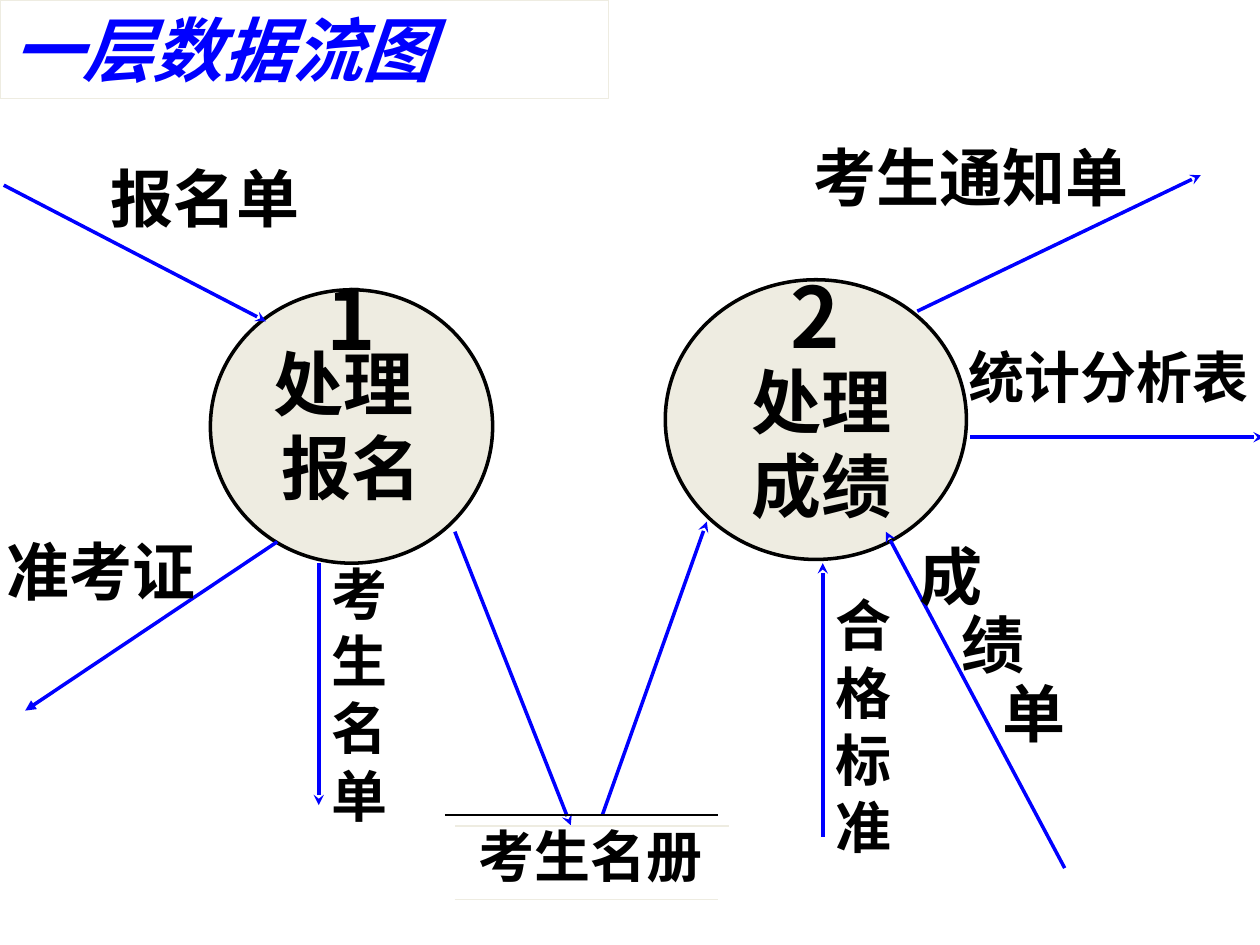
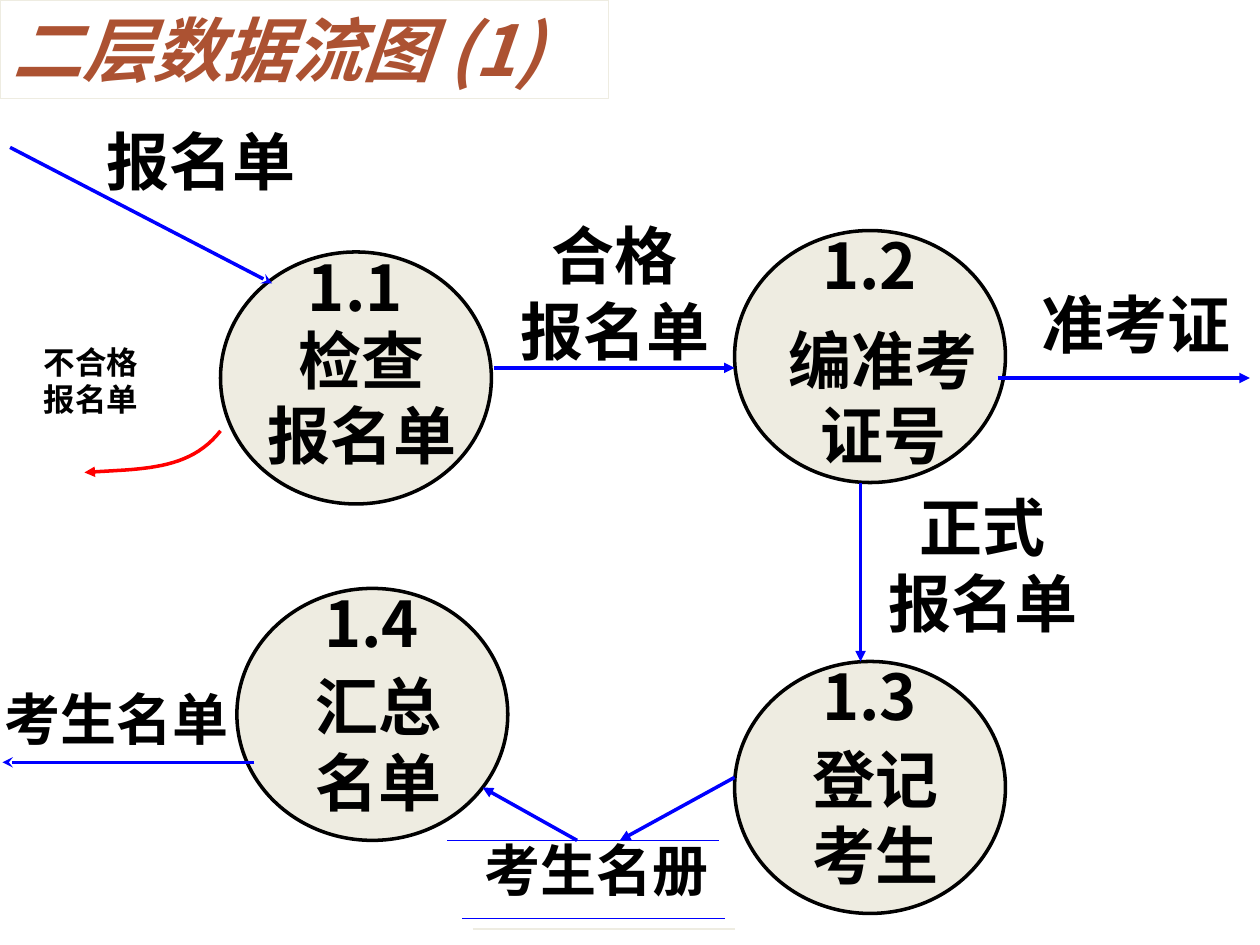
"""Build two slides of data flow diagrams for an exam registration system."""
import dataclasses
import math
import typing

import lxml.etree
import pptx
import pptx.dml.color
import pptx.enum.shapes
import pptx.enum.text
import pptx.oxml.ns
import pptx.util

EMU_PER_PX = 9144
PX_PER_POINT = 100 / 72
FONT_NAME = "Noto Sans CJK SC"
COLORS = {
    "ink": "000000",
    "flow": "0000FF",
    "reject": "FF0000",
    "cream": "EEECE1",
    "rust": "AC5232",
}
LABEL_FORMAT = {"name": FONT_NAME, "bold": True}
TITLE_FORMAT = {**LABEL_FORMAT, "italic": True}
SMALL, MEDIUM, NORMAL, LARGE, HUGE = 18, 32, 36, 40, 48
LINE_HEIGHT = 1.5
CURVE_STEPS = 24

Point = tuple[int, int]


@dataclasses.dataclass(frozen=True)
class Label:
    """A text box placed by its left edge, or by its middle if centered."""
    x: int
    top: int
    text: str
    size: int = NORMAL
    centered: bool = False


@dataclasses.dataclass(frozen=True)
class Process:
    """A process circle with its number near the top and its name below."""
    left: int
    top: int
    number: str
    name: str
    name_drop: int
    name_shift: int = 5
    width: int = 215
    height: int = 200
    number_rise: int = 8
    number_size: int = NORMAL
    name_size: int = NORMAL


@dataclasses.dataclass(frozen=True)
class Line:
    """A straight line given by its start and its run across and down."""
    x: int
    y: int
    across: int = 0
    down: int = 0
    head: str = "stealth"
    color: str = "flow"
    width: int = 2
    shadow: bool = False


@dataclasses.dataclass(frozen=True)
class Curve:
    """A cubic Bezier arc."""
    points: tuple[Point, ...]
    color: str = "reject"


@dataclasses.dataclass(frozen=True)
class Diagram:
    """All the content of one slide."""
    title: str
    title_color: str
    processes: tuple[Process, ...]
    lines: tuple[Line, ...]
    labels: tuple[Label, ...]
    curves: tuple[Curve, ...] = ()


def application_flow(x: int, y: int) -> Line:
    """Make the flow that brings the application form in."""
    return Line(x, y, 208, 108)


def diagonal_labels(x: int, top: int, text: str) -> tuple[Label, ...]:
    """Make one label per character, stepping down to the right."""
    return tuple(Label(x + 33 * index, top + 54 * index, character)
                 for index, character in enumerate(text))


DIAGRAMS = (
    Diagram(
        "一层数据流图", "flow",
        processes=(
            Process(167, 230, "1", "处理 \n报名", 35, 0, 224, 217, 23, HUGE, LARGE),
            Process(528, 222, "2", "处理\n成绩", 58, 5, 239, 222, 17, HUGE, LARGE),
        ),
        lines=(
            application_flow(3, 147),
            Line(220, 430, -200, 134, "triangle"),
            Line(253, 447, down=192),
            Line(361, 422, 92, 233),
            Line(478, 647, 83, -233),
            Line(728, 247, 225, -108),
            Line(653, 664, down=-217),
            Line(770, 347, 233),
            Line(845, 689, -142, -267),
            Line(353, 647, 217, head="", color="ink", width=1, shadow=True),
            Line(361, 714, 209, head="", color="cream", width=1),
        ),
        labels=(
            Label(78, 122, "报名单"),
            Label(-5, 418, "准考证"),
            Label(636, 105, "考生通知单"),
            *diagonal_labels(720, 422, "成绩单"),
            Label(370, 647, "考生名册", MEDIUM),
            Label(653, 464, "合\n格\n标\n准", MEDIUM),
            Label(253, 439, "考\n生\n名\n单", MEDIUM),
            Label(759, 267, "统计分析表", MEDIUM),
        ),
    ),
    Diagram(
        "二层数据流图 (1)", "rust",
        processes=(
            Process(175, 200, "1.1", "检查\n报名单", 50),
            Process(583, 183, "1.2", "编准考\n证号", 67, 11),
            Process(583, 525, "1.3", "登记\n考生", 58),
            Process(188, 467, "1.4", "汇总\n名单", 58),
        ),
        lines=(
            application_flow(8, 117),
            Line(392, 292, 191, head="triangle"),
            Line(202, 605, -200),
            Line(683, 383, down=142, head="triangle"),
            Line(792, 300, 200, head="triangle"),
            Line(583, 617, -91, 50, "triangle"),
            Line(458, 667, -75, -42, "triangle"),
            Line(355, 667, 216, head="", width=1),
            Line(367, 729, 208, head="", width=1, shadow=True),
        ),
        labels=(
            Label(75, 92, "报名单"),
            Label(817, 222, "准考证"),
            Label(25, 267, "不合格\n报名单", SMALL),
            Label(375, 658, "考生名册", MEDIUM),
            Label(-6, 538, "考生名单", MEDIUM),
            Label(488, 167, "合格\n报名单", centered=True),
            Label(780, 383, "正式\n报名单", centered=True),
        ),
        curves=(Curve(((175, 342), (150, 374), (112, 372), (67, 375))),),
    ),
)


def scaled(*lengths: float) -> tuple[int, ...]:
    """Turn px into EMU."""
    return tuple(round(length * EMU_PER_PX) for length in lengths)


def rgb(color: str) -> pptx.dml.color.RGBColor:
    """Look up a named colour."""
    return pptx.dml.color.RGBColor.from_string(COLORS[color])


def add_element(parent: typing.Any, tag: str, **attributes: str) -> typing.Any:
    """Append a DrawingML element to its parent."""
    return lxml.etree.SubElement(parent, pptx.oxml.ns.qn(f"a:{tag}"), attributes)


def format_line(shape: typing.Any, color: str, width: float, head: str = "") -> None:
    """Set the line colour, width and end arrowhead."""
    shape.line.color.rgb = rgb(color)
    shape.line.width = pptx.util.Pt(width)
    if head:
        outline = shape._element.spPr.find(pptx.oxml.ns.qn("a:ln"))
        add_element(outline, "tailEnd", type=head)


def write_run(paragraph: typing.Any, text: str, size: int, color: str,
              values: dict[str, typing.Any]) -> None:
    """Add a run with font values for Latin and East Asian text."""
    run = paragraph.add_run()
    run.text = text
    for attribute, value in values.items():
        setattr(run.font, attribute, value)
    run.font.size = pptx.util.Pt(size)
    run.font.color.rgb = rgb(color)
    add_element(run._r.get_or_add_rPr(), "ea", typeface=FONT_NAME)


def add_title(slide: typing.Any, diagram: Diagram) -> None:
    """Place the framed title in the title placeholder."""
    title = slide.shapes.title
    title.left, title.top, title.width, title.height = scaled(0, 0, 483, 78)
    format_line(title, "cream", 0.75)
    frame = title.text_frame
    frame.auto_size = pptx.enum.text.MSO_AUTO_SIZE.NONE
    frame.vertical_anchor = pptx.enum.text.MSO_ANCHOR.TOP
    paragraph = frame.paragraphs[0]
    paragraph.alignment = pptx.enum.text.PP_ALIGN.LEFT
    write_run(paragraph, diagram.title, LARGE, diagram.title_color, TITLE_FORMAT)


def add_label(slide: typing.Any, label: Label) -> None:
    """Draw a text box sized to its characters."""
    lines = label.text.split("\n")
    character = label.size * PX_PER_POINT
    width = max(map(len, lines)) * character + 25
    height = len(lines) * character * LINE_HEIGHT
    left = label.x - width / 2 if label.centered else label.x
    frame = slide.shapes.add_textbox(*scaled(left, label.top, width, height)).text_frame
    frame.word_wrap = True
    frame.auto_size = pptx.enum.text.MSO_AUTO_SIZE.SHAPE_TO_FIT_TEXT
    alignment = pptx.enum.text.PP_ALIGN
    for index, text in enumerate(lines):
        paragraph = frame.add_paragraph() if index else frame.paragraphs[0]
        paragraph.alignment = alignment.CENTER if label.centered else alignment.LEFT
        write_run(paragraph, text, label.size, "ink", LABEL_FORMAT)


def add_process(slide: typing.Any, process: Process) -> None:
    """Draw a process circle with its two labels."""
    circle = slide.shapes.add_shape(
        pptx.enum.shapes.MSO_SHAPE.OVAL,
        *scaled(process.left, process.top, process.width, process.height))
    circle.shadow.inherit = False
    circle.fill.solid()
    circle.fill.fore_color.rgb = rgb("cream")
    format_line(circle, "ink", 2)
    middle = process.left + process.width // 2
    add_label(slide, Label(middle + process.name_shift, process.top + process.name_drop,
                           process.name, process.name_size, centered=True))
    add_label(slide, Label(middle, process.top - process.number_rise,
                           process.number, process.number_size, centered=True))


def add_line(slide: typing.Any, line: Line) -> None:
    """Draw a straight line with an optional arrowhead and hard shadow."""
    connector = slide.shapes.add_connector(
        pptx.enum.shapes.MSO_CONNECTOR.STRAIGHT,
        *scaled(line.x, line.y, line.x + line.across, line.y + line.down))
    format_line(connector, line.color, line.width, line.head)
    effects = add_element(connector._element.spPr, "effectLst")
    if line.shadow:
        distance = str(int(pptx.util.Pt(8.5)))
        shadow = add_element(effects, "outerShdw", dist=distance, dir="2700000",
                             algn="ctr", rotWithShape="0")
        add_element(shadow, "srgbClr", val=COLORS["cream"])


def bezier_point(points: tuple[Point, ...], t: float) -> tuple[int, ...]:
    """Return the point of a Bezier arc at t, in EMU."""
    degree = len(points) - 1
    weights = [math.comb(degree, k) * t ** k * (1 - t) ** (degree - k)
               for k in range(degree + 1)]
    return scaled(*(math.sumprod(weights, axis) if hasattr(math, "sumprod")
                    else sum(w * v for w, v in zip(weights, axis))
                    for axis in zip(*points)))


def add_curve(slide: typing.Any, curve: Curve) -> None:
    """Draw an open curve that ends in an arrowhead."""
    start, *rest = [bezier_point(curve.points, step / CURVE_STEPS)
                    for step in range(CURVE_STEPS + 1)]
    builder = slide.shapes.build_freeform(*start)
    builder.add_line_segments(rest, close=False)
    shape = builder.convert_to_shape()
    shape.shadow.inherit = False
    shape.fill.background()
    format_line(shape, curve.color, 2, "triangle")


def main() -> None:
    """Build and save the presentation."""
    presentation = pptx.Presentation()
    presentation.slide_width, presentation.slide_height = scaled(1000, 750)
    for diagram in DIAGRAMS:
        slide = presentation.slides.add_slide(presentation.slide_layouts[5])
        add_title(slide, diagram)
        for draw, items in ((add_process, diagram.processes), (add_line, diagram.lines),
                            (add_curve, diagram.curves), (add_label, diagram.labels)):
            for item in items:
                draw(slide, item)
    presentation.save("out.pptx")


if __name__ == "__main__":
    main()
